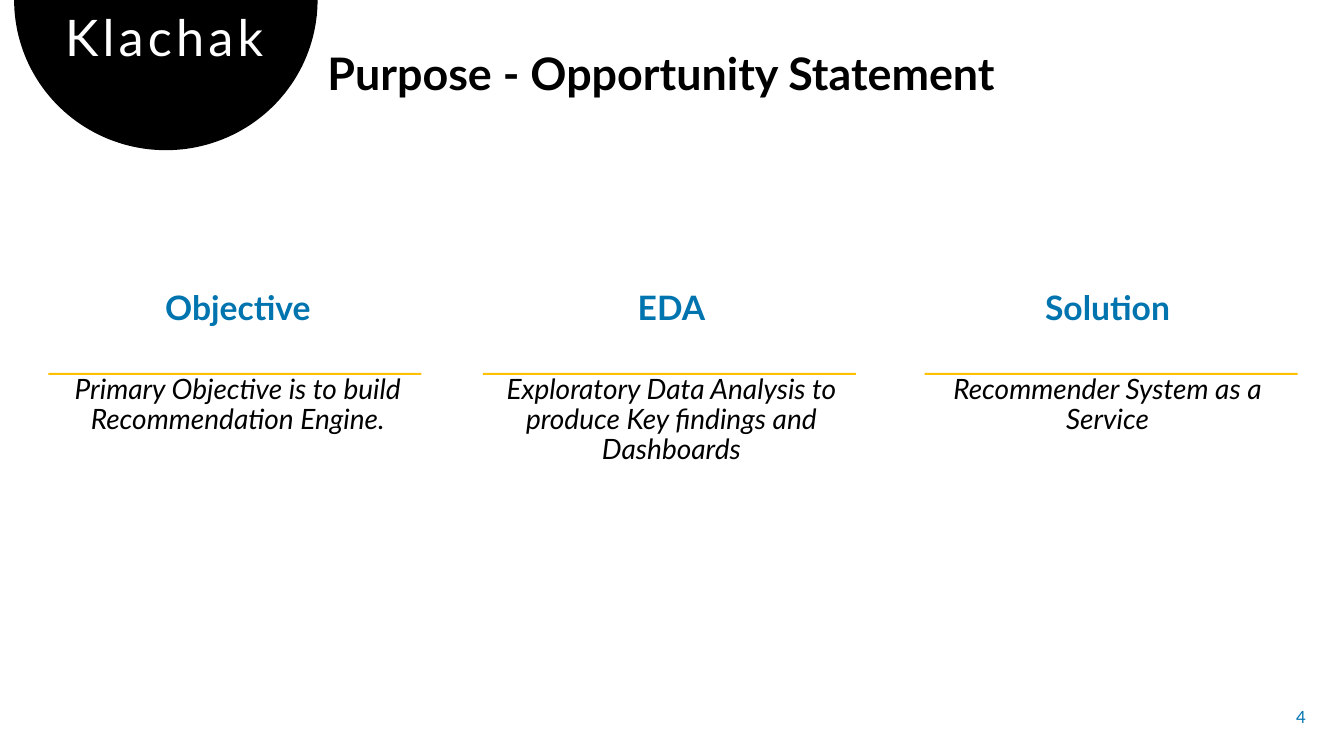
from math import cos, pi, sin

from pptx import Presentation
from pptx.dml.color import RGBColor
from pptx.enum.shapes import MSO_SHAPE as Shape
from pptx.enum.text import MSO_ANCHOR as Anchor, PP_ALIGN as Align
from pptx.util import Inches, Pt

COLORS = {"black": "000000", "white": "FFFFFF", "blue": "0074AF", "gold": "FFC000"}
FONT = "Lato"

# Heading, text, box left, box width, rule left
COLUMNS = [
    ("Objective", "Primary Objective is to build Recommendation Engine.", 0.33, 4.06, 0.48),
    ("EDA", "Exploratory Data Analysis to produce Key findings and Dashboards",
     4.56, 4.2, 4.79),
    ("Solution", "Recommender System as a Service", 8.92, 4.13, 9.17),
]


def paint(shape, color):
    shape.shadow.inherit = False
    shape.fill.solid()
    shape.fill.fore_color.rgb = RGBColor.from_string(COLORS[color])
    shape.line.fill.background()


def add_box(page, left, top, width, height, margin=0.1, anchor=Anchor.TOP):
    box = page.shapes.add_textbox(Inches(left), Inches(top), Inches(width), Inches(height))
    frame = box.text_frame
    frame.word_wrap = True
    frame.margin_left = frame.margin_right = Inches(margin)
    frame.vertical_anchor = anchor
    return frame


def write(para, text, size, color, align=Align.LEFT, bold=False, italic=False,
          before=0, after=0, spacing=0.9, tracking=0):
    para.alignment = align
    para.line_spacing = spacing
    para.space_before, para.space_after = Pt(before), Pt(after)
    span = para.add_run()
    span.text = text
    font = span.font
    font.name, font.size = FONT, Pt(size)
    font.bold, font.italic = bold, italic
    font.color.rgb = RGBColor.from_string(COLORS[color])
    if tracking:
        span._r.get_or_add_rPr().set("spc", str(tracking * 100))


def add_badge(page, left, top, width, height):
    """Half disc hanging from the top edge, with the project name."""
    radius, steps = width / 2, 90
    points = [(Inches(left + radius + radius * cos(pi * i / steps)),
               Inches(top + height * sin(pi * i / steps))) for i in range(steps + 1)]
    builder = page.shapes.build_freeform(*points[0])
    builder.add_line_segments(points[1:], close=True)
    paint(builder.convert_to_shape(), "black")
    frame = add_box(page, left + 0.19, top + 0.08, 2.6, 0.65)
    write(frame.paragraphs[0], "Klachak", 36, "white", align=Align.CENTER, tracking=3)


def add_heading(page, left, top, width, height):
    frame = add_box(page, left, top, width, height)
    write(frame.paragraphs[0], "Purpose - Opportunity Statement", 32, "black", bold=True)


def add_column(page, heading, text, left, top, width, rule_left):
    frame = add_box(page, left, top, width, 1.85, margin=0.15)
    write(frame.paragraphs[0], heading, 24, "blue", align=Align.CENTER, bold=True, after=24)
    write(frame.add_paragraph(), text, 20, "black", align=Align.CENTER, italic=True,
          before=10, after=12)
    rule = page.shapes.add_shape(Shape.RECTANGLE, Inches(rule_left), Inches(top + 0.86),
                                 Inches(3.7), Inches(0.02))
    paint(rule, "gold")


def add_page_number(page, left, top, width, height):
    frame = add_box(page, left, top, width, height, anchor=Anchor.MIDDLE)
    write(frame.paragraphs[0], "4", 12, "blue", align=Align.RIGHT, spacing=1.0)


def main():
    deck = Presentation()
    deck.slide_width, deck.slide_height = Inches(13.33), Inches(7.5)
    page = deck.slides.add_slide(deck.slide_layouts[6])

    add_badge(page, 0.14, 0, 3.01, 1.49)
    add_heading(page, 3.15, 0.46, 9.93, 0.59)
    for heading, text, left, width, rule_left in COLUMNS:
        add_column(page, heading, text, left, 2.84, width, rule_left)
    add_page_number(page, 12.5, 6.91, 0.55, 0.4)

    deck.save("out.pptx")


if __name__ == "__main__":
    main()
